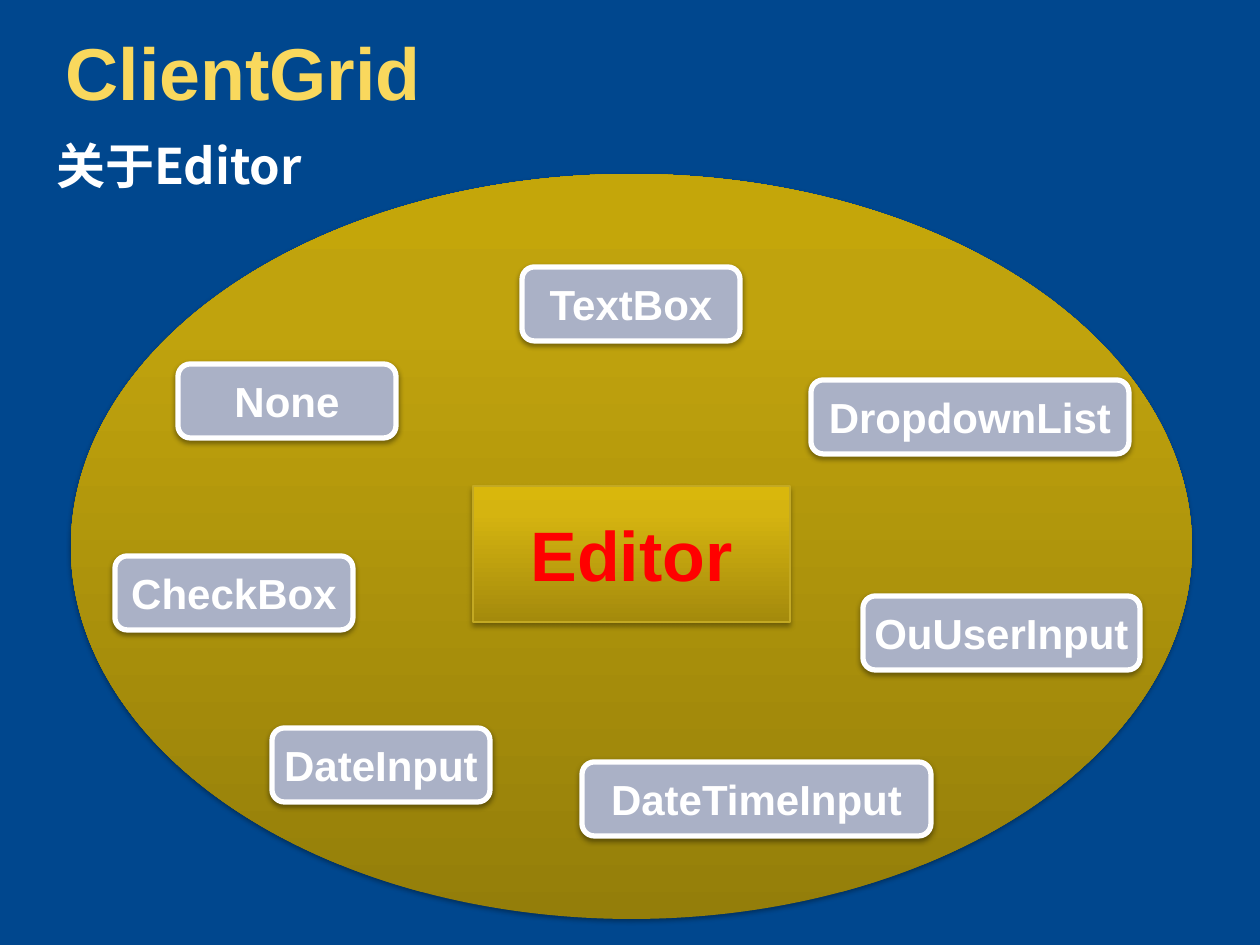
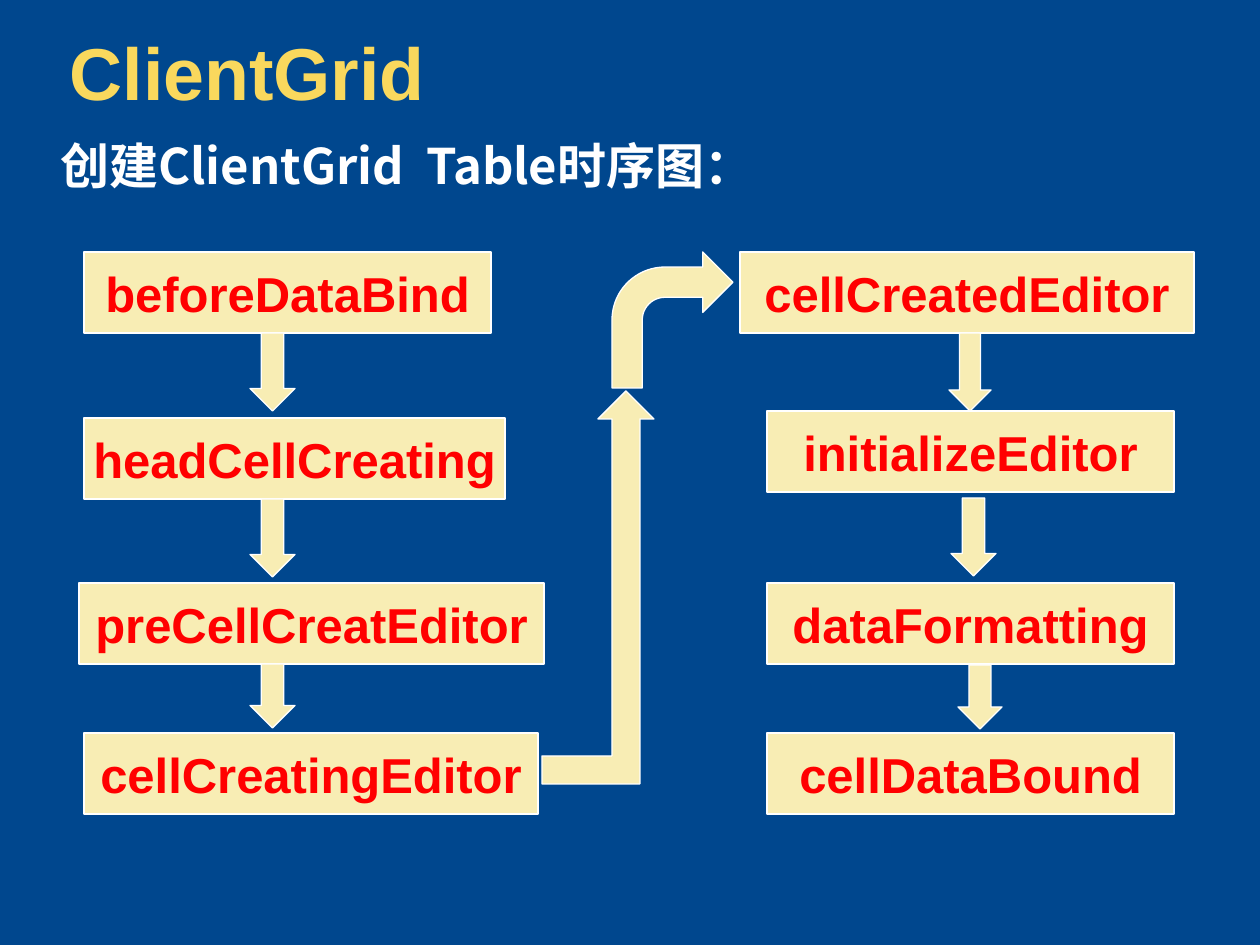
from dataclasses import dataclass

from lxml.etree import SubElement
from pptx import Presentation
from pptx.dml.color import RGBColor
from pptx.enum.shapes import MSO_SHAPE
from pptx.enum.text import MSO_ANCHOR, MSO_AUTO_SIZE, PP_ALIGN
from pptx.oxml.ns import qn
from pptx.util import Emu, Pt


@dataclass(frozen=True)
class Theme:
    background: str = "00478E"
    title: str = "F9D85D"
    white: str = "FFFFFF"
    red: str = "FF0000"
    label: str = "AAB1C6"
    step: str = "F8EDB4"
    gold_line: str = "C3A923"
    ellipse: tuple = ((0, "947E0A"), (80, "C0A30D"), (100, "C4A60A"))
    core: tuple = ((0, "A48A0C"), (80, "D5B410"), (100, "D9B70C"))
    font: str = "Arial"
    cjk_font: str = "Noto Sans CJK SC"
    title_size: int = 42
    core_size: int = 40
    step_size: int = 28
    label_size: int = 24


theme = Theme()
PX = 914400 / 126


def put_text(tf, text, size, color, font=theme.font, align=PP_ALIGN.CENTER):
    tf.text = text
    tf.auto_size = MSO_AUTO_SIZE.NONE
    p = tf.paragraphs[0]
    p.alignment = align
    p.font.name, p.font.size, p.font.bold = font, Pt(size), True
    p.font.color.rgb = RGBColor.from_string(color)
    return p


def add_block(s, kind, box, fill, line=None, width=0.75, shadow=None):
    sp = s.shapes.add_shape(kind, *(Emu(round(v * PX)) for v in box))
    sp.shadow.inherit = False
    sp_pr = sp._element.spPr
    if isinstance(fill, str):
        sp.fill.solid()
        sp.fill.fore_color.rgb = RGBColor.from_string(fill)
    else:
        # Three stops, running from bottom to top
        sp.fill.gradient()
        sp.fill.gradient_angle = 90
        stops = sp_pr.find(qn("a:gradFill")).find(qn("a:gsLst"))
        for old in list(stops):
            stops.remove(old)
        for pos, color in fill:
            stop = SubElement(stops, qn("a:gs"), pos=str(pos * 1000))
            SubElement(stop, qn("a:srgbClr"), val=color)
    if line:
        sp.line.color.rgb = RGBColor.from_string(line)
        sp.line.width = Pt(width)
    else:
        sp.line.fill.background()
    if shadow:
        alpha, distance = shadow
        outer = SubElement(sp_pr.find(qn("a:effectLst")), qn("a:outerShdw"),
                           blurRad=str(Pt(3.1)), dist=str(Pt(distance)),
                           dir="5400000", rotWithShape="0")
        color = SubElement(outer, qn("a:srgbClr"), val="000000")
        SubElement(color, qn("a:alpha"), val=str(alpha * 1000))
    sp.text_frame.word_wrap = False
    sp.text_frame.vertical_anchor = MSO_ANCHOR.MIDDLE
    return sp


prs = Presentation()
prs.slide_width, prs.slide_height = Emu(round(1260 * PX)), Emu(round(945 * PX))

# Shared background, title and subtitle; the ellipse lies behind the headings
slides = []
for subtitle, left in (("关于Editor", 44), ("创建ClientGrid  Table时序图：", 48)):
    s = prs.slides.add_slide(prs.slide_layouts[5])
    slides.append(s)
    s.background.fill.solid()
    s.background.fill.fore_color.rgb = RGBColor.from_string(theme.background)
    if len(slides) == 1:
        add_block(s, MSO_SHAPE.OVAL, (71, 174, 1121, 745), theme.ellipse, shadow=(35, 1.8))

    title = s.shapes.title
    title.left, title.top, title.width, title.height = (
        Emu(round(v * PX)) for v in (left + 9, 31, 1034, 93))
    sub = s.shapes.add_textbox(*(Emu(round(v * PX)) for v in (left, 136, 1155, 67)))
    headings = (
        (title, "ClientGrid", theme.title_size, theme.title, theme.font),
        (sub, subtitle, theme.step_size, theme.white, theme.cjk_font),
    )
    for sp, text, size, color, font in headings:
        tf = sp.text_frame
        tf.word_wrap = True
        tf.vertical_anchor = MSO_ANCHOR.TOP
        p = put_text(tf, text, size, color, font, PP_ALIGN.LEFT)
        p.line_spacing = 0.9
        SubElement(p.font._element, qn("a:ea"), typeface=font)

# Slide 1: the editor and its kinds
s = slides[0]
core = add_block(s, MSO_SHAPE.RECTANGLE, (473, 486, 317, 136), theme.core,
                 theme.gold_line, shadow=(35, 1.8))
put_text(core.text_frame, "Editor", theme.core_size, theme.red)

editors = (
    ("None", 178, 364, 218),
    ("DateInput", 272, 728, 218),
    ("CheckBox", 115, 556, 238),
    ("DropdownList", 811, 380, 318),
    ("TextBox", 522, 267, 218),
    ("DateTimeInput", 582, 762, 349),
    ("OuUserInput", 863, 596, 277),
)
for name, x, y, w in editors:
    sp = add_block(s, MSO_SHAPE.ROUNDED_RECTANGLE, (x, y, w, 74), theme.label,
                   theme.white, 3, (38, 1.6))
    put_text(sp.text_frame, name, theme.label_size, theme.white)

# Slide 2: the steps in two columns
s = slides[1]
steps = (
    ("beforeDataBind", 84, 252, 407),
    ("headCellCreating", 84, 418, 421),
    ("preCellCreatEditor", 79, 583, 465),
    ("cellCreatingEditor", 84, 733, 454),
    ("cellCreatedEditor", 740, 252, 454),
    ("initializeEditor", 767, 411, 407),
    ("dataFormatting", 767, 583, 407),
    ("cellDataBound", 767, 733, 407),
)
for name, x, y, w in steps:
    sp = add_block(s, MSO_SHAPE.RECTANGLE, (x, y, w, 81), theme.step, theme.white)
    put_text(sp.text_frame, name, theme.step_size, theme.red)

# Arrows down each column, then the path between the columns
down = MSO_SHAPE.DOWN_ARROW
arrows = (
    (down, (250, 333, 45, 78)),
    (down, (250, 499, 45, 78)),
    (down, (250, 664, 45, 64)),
    (down, (949, 333, 42, 78)),
    (down, (951, 498, 45, 78)),
    (down, (958, 665, 44, 64)),
    (MSO_SHAPE.BENT_UP_ARROW, (542, 391, 112, 393)),
    (MSO_SHAPE.BENT_ARROW, (612, 252, 121, 136)),
)
for kind, box in arrows:
    add_block(s, kind, box, theme.step, theme.white)

prs.save("out.pptx")
